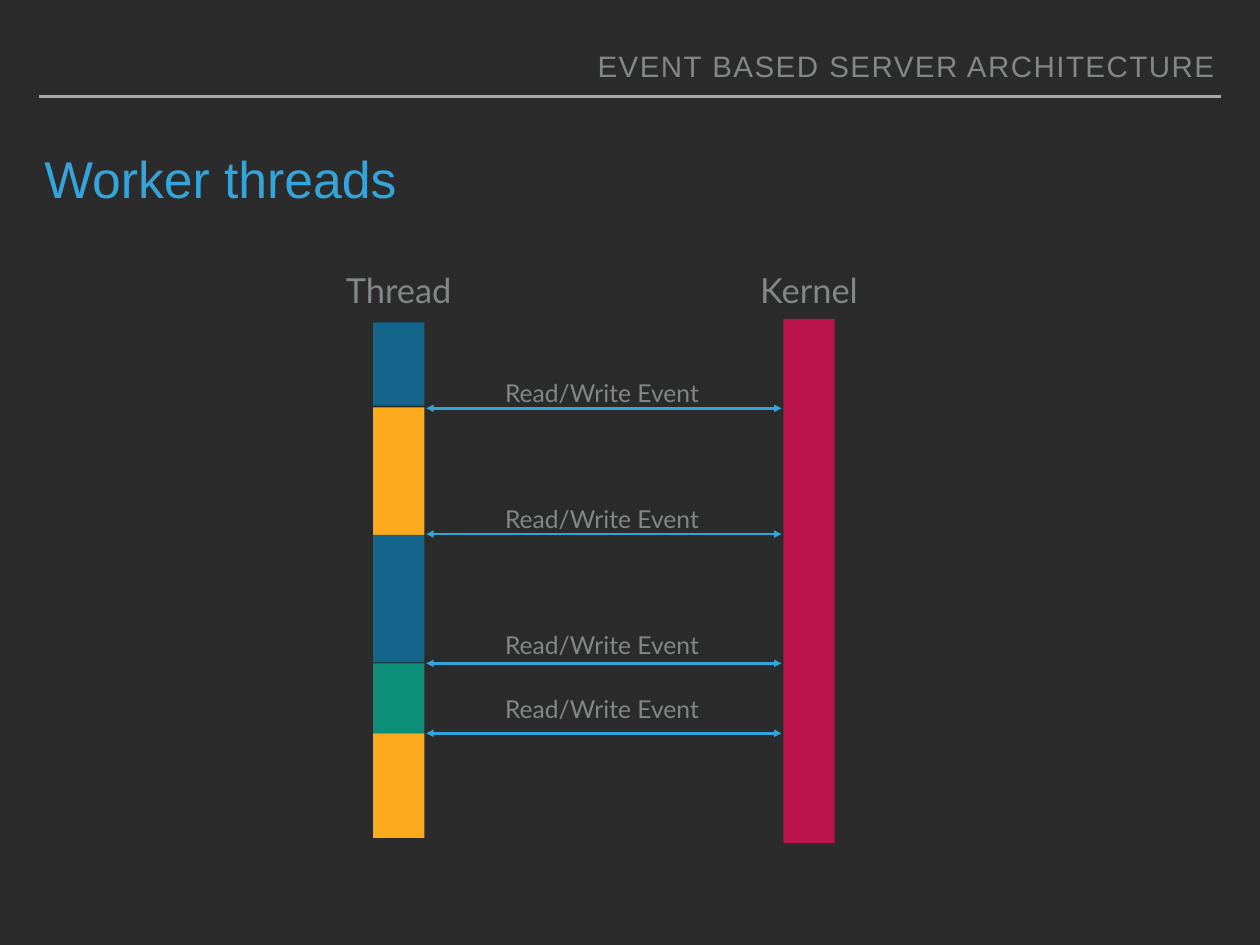
from dataclasses import dataclass

from lxml.etree import SubElement
from pptx import Presentation
from pptx.dml.color import RGBColor
from pptx.enum.shapes import MSO_CONNECTOR, MSO_SHAPE
from pptx.enum.text import MSO_ANCHOR, MSO_AUTO_SIZE, PP_ALIGN
from pptx.oxml.ns import qn
from pptx.util import Inches, Pt


@dataclass(frozen=True)
class Theme:
    background: str = "2B2B2B"
    rule: str = "A6AAA9"
    text: str = "838787"
    accent: str = "34A5DA"
    blue: str = "13658C"
    amber: str = "FDAA1D"
    green: str = "0C8E78"
    crimson: str = "B9144C"
    heading_font: str = "Arial"
    label_font: str = "Lato"
    header_size: int = 24
    title_size: int = 42
    column_size: int = 28
    event_size: int = 20


theme = Theme()


def write_text(sp, box, text, size, color, font, align, anchor, wrap=True):
    sp.left, sp.top, sp.width, sp.height = (Inches(v) for v in box)
    tf = sp.text_frame
    tf.text = text
    tf.word_wrap = wrap
    tf.auto_size = MSO_AUTO_SIZE.NONE
    tf.vertical_anchor = anchor
    tf.margin_left = tf.margin_right = tf.margin_top = tf.margin_bottom = Inches(0.06)
    p = tf.paragraphs[0]
    p.alignment = align
    p.space_before = Pt(0)
    r = p.runs[0]
    r.font.size = Pt(size)
    r.font.name = font
    r.font.color.rgb = RGBColor.from_string(color)
    return p


def add_line(x1, x2, y, color):
    line = s.shapes.add_connector(
        MSO_CONNECTOR.STRAIGHT, Inches(x1), Inches(y), Inches(x2), Inches(y))
    line.line.color.rgb = RGBColor.from_string(color)
    line.line.width = Pt(2)
    SubElement(line._element.spPr, qn("a:effectLst"))
    return line


prs = Presentation()
prs.slide_width, prs.slide_height = Inches(14.22), Inches(10.67)
s = prs.slides.add_slide(prs.slide_layouts[1])
s.background.fill.solid()
s.background.fill.fore_color.rgb = RGBColor.from_string(theme.background)

# Header, rule and title
add_line(0.44, 13.78, 1.09, theme.rule)
p = write_text(s.placeholders[1], (0.44, 0.5, 13.33, 0.5),
               "EVENT BASED SERVER ARCHITECTURE", theme.header_size, theme.text,
               theme.heading_font, PP_ALIGN.RIGHT, MSO_ANCHOR.BOTTOM)
p.line_spacing = 0.8
pPr = p._p.get_or_add_pPr()
pPr.set("marL", "0")
pPr.set("indent", "0")
SubElement(pPr, qn("a:buNone"))
p.runs[0].font._element.set("spc", "120")

p = write_text(s.shapes.title, (0.44, 1.68, 13.33, 0.79), "Worker threads",
               theme.title_size, theme.accent, theme.heading_font,
               PP_ALIGN.LEFT, MSO_ANCHOR.MIDDLE)
p.line_spacing = 0.8

# Thread segments and the kernel bar: left, top, height, colour
thread_x, kernel_x, bar_width = 4.21, 8.84, 0.58
bars = [
    (thread_x, 3.64, 0.94, theme.blue),
    (thread_x, 4.6, 1.44, theme.amber),
    (thread_x, 6.04, 1.44, theme.blue),
    (thread_x, 7.49, 0.79, theme.green),
    (thread_x, 8.28, 1.18, theme.amber),
    (kernel_x, 3.6, 5.92, theme.crimson),
]
for left, top, height, color in bars:
    bar = s.shapes.add_shape(MSO_SHAPE.RECTANGLE, Inches(left), Inches(top),
                             Inches(bar_width), Inches(height))
    bar.shadow.inherit = False
    bar.fill.solid()
    bar.fill.fore_color.rgb = RGBColor.from_string(color)
    bar.line.fill.background()

for name, left, width in [("Thread", 3.81, 1.38), ("Kernel", 8.49, 1.28)]:
    write_text(s.shapes.add_textbox(0, 0, 0, 0), (left, 2.95, width, 0.64), name,
               theme.column_size, theme.text, theme.label_font,
               PP_ALIGN.CENTER, MSO_ANCHOR.MIDDLE, wrap=False)

# Events between kernel and thread: arrow height, label top
for arrow_y, label_top in [(4.61, 4.19), (6.03, 5.61), (7.49, 7.03), (8.28, 7.76)]:
    arrow = add_line(kernel_x - 0.02, thread_x + bar_width + 0.02, arrow_y, theme.accent)
    ln = arrow.line._get_or_add_ln()
    for end in ("a:headEnd", "a:tailEnd"):
        SubElement(ln, qn(end), type="triangle")
    write_text(s.shapes.add_textbox(0, 0, 0, 0), (5.64, label_top, 2.36, 0.49),
               "Read/Write Event", theme.event_size, theme.text, theme.label_font,
               PP_ALIGN.LEFT, MSO_ANCHOR.MIDDLE, wrap=False)

prs.save("out.pptx")
